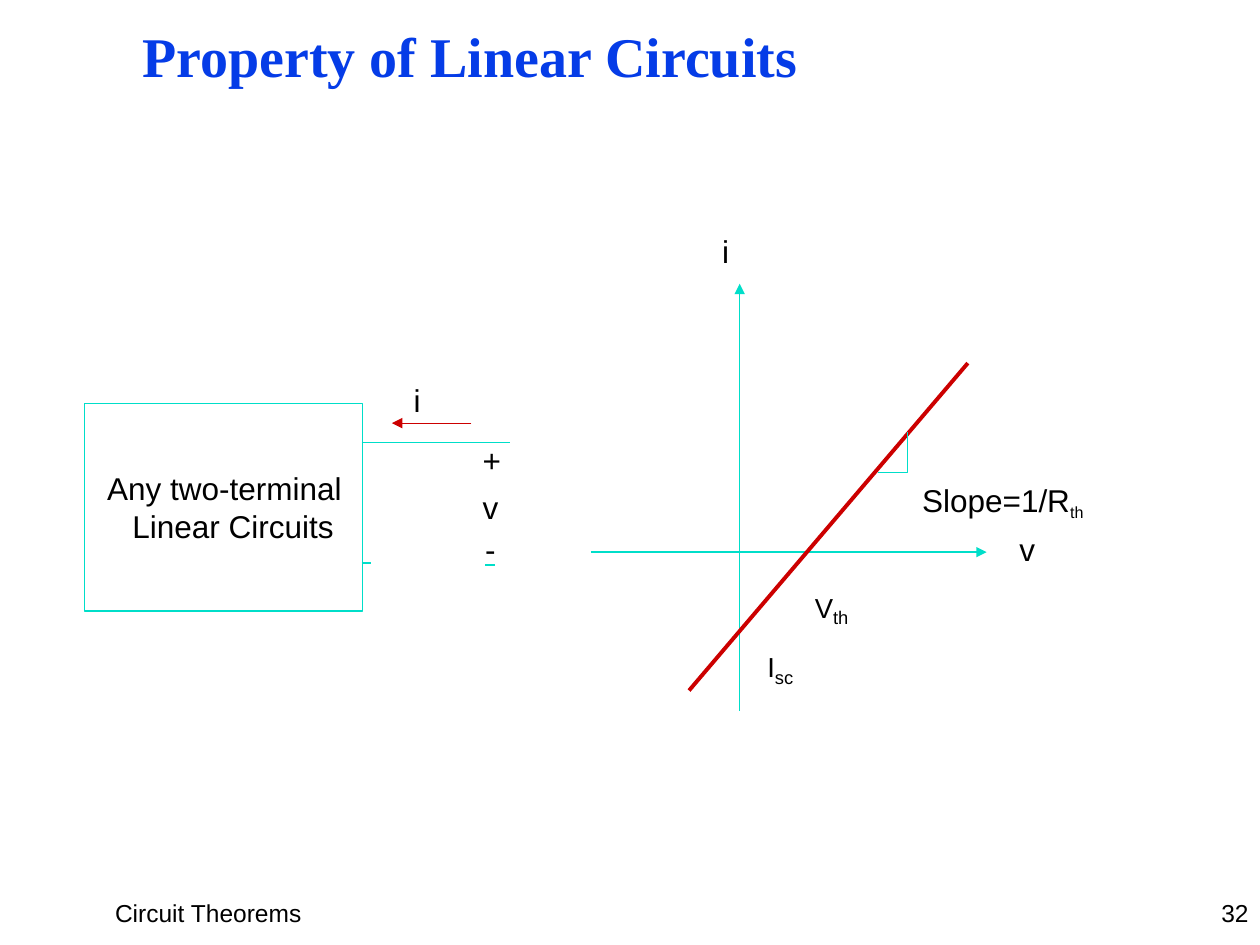
"""Build the slide on the property of linear circuits."""
from lxml.etree import SubElement
from pptx import Presentation
from pptx.dml.color import RGBColor as RGB
from pptx.enum.shapes import MSO_CONNECTOR as CONN, MSO_SHAPE as SHAPE
from pptx.enum.text import MSO_ANCHOR as ANCHOR, PP_ALIGN as ALIGN
from pptx.oxml.ns import qn
from pptx.util import Cm, Pt

COLORS = {"title": "053CE7", "text": "000000", "teal": "00DEC9", "red": "CC0000"}

TITLE = (2.84, 0.38, 14.5, 1.42, "Property of Linear Circuits")
BOX = (1.7, 8.13, 5.61, 4.19, "Any two-terminal Linear Circuits")
LABELS = [
    (8.31, 7.62, 0.5, 0.84, "i"),
    (14.53, 4.62, 0.5, 0.84, "i"),
    (20.52, 10.62, 0.6, 0.84, "v"),
]
SUBSCRIPTED = [
    (16.33, 11.58, 1.1, 0.84, [("V", 27, 14), ("th", 10.5, 0)]),
    (15.37, 12.78, 1.0, 0.84, [("I", 27, 14), ("sc", 10.5, 0)]),
    (18.49, 9.63, 3.9, 0.84, [("Slope=1/R", 18, 0), ("th", 15.8, -24)]),
]
POLARITY = (9.7, 8.48, 0.6, 1.96, "+\nv")
MINUS = (9.78, 10.62, 0.5, 0.84, "-")
FOOTERS = [
    (2.29, 18.11, 4.2, 0.64, "Circuit Theorems"),
    (24.59, 18.11, 0.8, 0.64, "32"),
]
LINES = [
    (11.96, 10.73, 8.53, 10.73, "red", 0.7, True),
    (14.91, 14.33, 14.91, 5.72, "teal", 0.7, True),
    (11.91, 11.13, 19.89, 11.13, "teal", 0.7, True),
    (13.89, 13.92, 19.51, 7.32, "red", 2.25, False),
    (7.29, 8.92, 10.29, 8.92, "teal", 0.75, False),
    (7.29, 11.35, 7.47, 11.35, "teal", 0.75, False),
]
LINES[0] = (9.5, 8.53, 7.9, 8.53, "red", 0.7, True)
SLOPE_STEP = [(18.29, 8.71), (18.29, 9.53), (17.7, 9.53)]


def rgb(name):
    return RGB.from_string(COLORS[name])


def write(sp, content, font="Arial", size=18, color="text", bold=False, top=0.06,
          left=0.03, hanging=0, gap=0, spacing=None, underline=None):
    tf = sp.text_frame
    tf.word_wrap = True
    tf.margin_left = tf.margin_right = tf.margin_bottom = 0
    tf.margin_top = Cm(top)
    if isinstance(content, str):
        paragraphs = [[(line, size, 0)] for line in content.split("\n")]
    else:
        paragraphs = [content]
    for i, parts in enumerate(paragraphs):
        p = tf.add_paragraph() if i else tf.paragraphs[0]
        p.alignment = ALIGN.LEFT
        ppr = p._p.get_or_add_pPr()
        ppr.set("marL", str(Cm(left)))
        ppr.set("indent", str(Cm(-hanging)))
        if i:
            p.space_before = Pt(gap)
        if spacing:
            p.line_spacing = Pt(spacing)
        for text, points, baseline in parts:
            r = p.add_run()
            r.text = text
            r.font.size, r.font.bold = Pt(points), bold
            r.font.color.rgb = rgb(color)
            rpr = r._r.get_or_add_rPr()
            if baseline:
                rpr.set("baseline", str(baseline * 1000))
            if underline:
                r.font.underline = True
                fill = SubElement(SubElement(rpr, qn("a:uFill")), qn("a:solidFill"))
                SubElement(fill, qn("a:srgbClr"), val=COLORS[underline])
            r.font.name = font


def add_text(s, item, **fmt):
    *place, content = item
    write(s.shapes.add_textbox(*map(Cm, place)), content, **fmt)


def add_line(s, x1, y1, x2, y2, color, width, arrow):
    c = s.shapes.add_connector(CONN.STRAIGHT, *map(Cm, (x1, y1, x2, y2)))
    c.line.color.rgb, c.line.width = rgb(color), Pt(width)
    if arrow:
        SubElement(c.line._get_or_add_ln(), qn("a:tailEnd"), type="triangle")
    SubElement(c._element.spPr, qn("a:effectLst"))


def outline(sp):
    sp.shadow.inherit = False
    sp.fill.background()
    sp.line.color.rgb, sp.line.width = rgb("teal"), Pt(0.75)


def main():
    prs = Presentation()
    prs.slide_width, prs.slide_height = Cm(25.4), Cm(19.05)
    s = prs.slides.add_slide(prs.slide_layouts[6])

    add_text(s, TITLE, font="Times New Roman", size=32, color="title", bold=True)

    *place, content = BOX
    box = s.shapes.add_shape(SHAPE.RECTANGLE, *map(Cm, place))
    outline(box)
    box.text_frame.vertical_anchor = ANCHOR.MIDDLE
    write(box, content, top=0, left=0.97, hanging=0.51)

    for line in LINES:
        add_line(s, *line)
    start, *rest = [(Cm(x), Cm(y)) for x, y in SLOPE_STEP]
    builder = s.shapes.build_freeform(*start)
    builder.add_line_segments(rest, close=False)
    outline(builder.convert_to_shape())

    for label in LABELS:
        add_text(s, label)
    for label in SUBSCRIPTED:
        add_text(s, label, left=0.1)
    add_text(s, POLARITY, top=0.42, gap=5.1)
    add_text(s, MINUS, left=0, underline="teal")
    for footer in FOOTERS:
        add_text(s, footer, size=14, top=0, spacing=16.4)

    prs.save("out.pptx")


if __name__ == "__main__":
    main()
